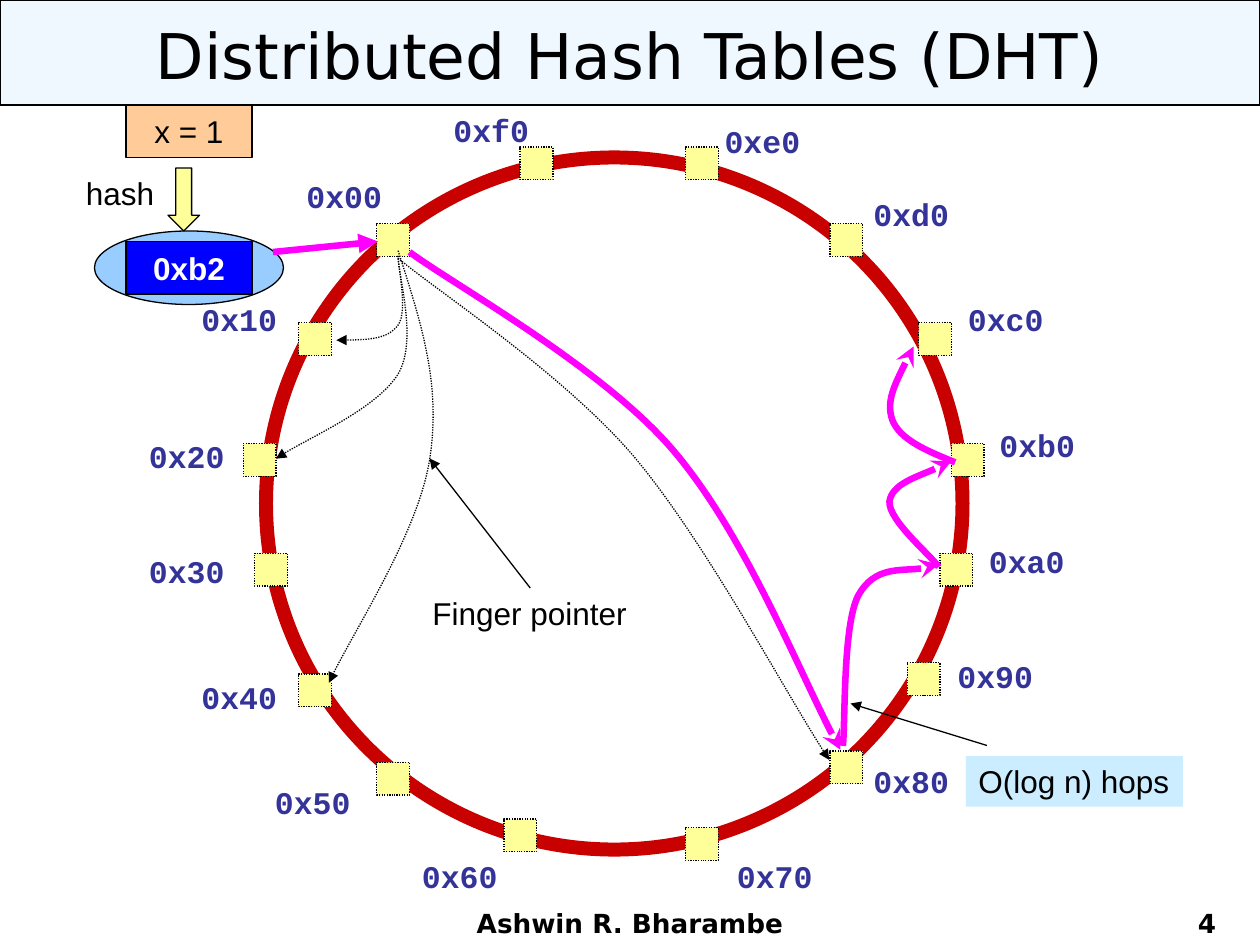
from lxml import etree
from pptx import Presentation
from pptx.dml.color import RGBColor
from pptx.enum.dml import MSO_LINE
from pptx.enum.shapes import MSO_CONNECTOR, MSO_SHAPE
from pptx.enum.text import MSO_ANCHOR, PP_ALIGN
from pptx.oxml.ns import qn
from pptx.util import Pt

RECT, OVAL, DOWN_ARROW = MSO_SHAPE.RECTANGLE, MSO_SHAPE.OVAL, MSO_SHAPE.DOWN_ARROW
STRAIGHT, DOTTED = MSO_CONNECTOR.STRAIGHT, MSO_LINE.ROUND_DOT
LEFT, CENTER, RIGHT = PP_ALIGN.LEFT, PP_ALIGN.CENTER, PP_ALIGN.RIGHT
TOP, MIDDLE, BOTTOM = MSO_ANCHOR.TOP, MSO_ANCHOR.MIDDLE, MSO_ANCHOR.BOTTOM

BLACK, WHITE, MAGENTA, YELLOW, SKY = "000000", "FFFFFF", "FF00FF", "FFFF99", "99CCFF"
NODE_SIZE = 18.75

NODES = [
    (143.3, 67.8), (98.6, 124.3), (67, 193.4), (73.4, 256.1),
    (98.6, 325.2), (143.3, 375.6), (216, 408), (319.7, 413),
    (402.2, 369.1), (446.4, 318.7), (465.1, 256.1), (471.6, 193.4),
    (452.9, 124.3), (402.2, 67.8), (319.7, 24), (225.2, 24),
]
ADDRESSES = [
    (96, 37.5), (36, 108), (6, 186), (6, 252), (36, 324), (78, 384), (162, 426), (342, 426),
    (420, 372), (468, 312), (486, 246), (492, 180), (474, 108), (420, 48), (335, 6), (180, 0),
]
FINGERS = [
    [(155.5, 86.2), (155.5, 92.6), (161.3, 117.8), (155.5, 125.8),
     (149.8, 133.7), (136.1, 134.4), (120.2, 134.4)],
    [(155.5, 86.2), (155.5, 97.7), (167, 134.4), (155.5, 153.8),
     (143.3, 173.3), (100.1, 192), (85.7, 202.1)],
    [(155.5, 83.3), (169.9, 127.9), (180, 161), (173.5, 202.8),
     (167, 243.8), (128.2, 303.6), (115.9, 330.2)],
    [(155.5, 87.6), (177.8, 106.3), (248.4, 152.4), (289.4, 199.9),
     (329.8, 247.4), (378, 338.2), (401.8, 374.2)],
]
HOPS = [
    [(162, 84), (187.2, 102.7), (270.7, 148.8), (311.8, 196.3),
     (352.8, 243.8), (388.1, 332.4), (408.2, 368.4)],
    [(409.7, 366.2), (411.1, 351.8), (409.7, 297.8), (418.3, 280.6),
     (427.7, 263.3), (455, 266.9), (464.4, 262.6)],
    [(464.4, 264), (460.1, 257.5), (435.6, 237.4), (436.3, 226.6),
     (437.8, 216.5), (464.4, 207.8), (471.6, 203.5)],
    [(473.8, 204.2), (457.9, 197.8), (442.1, 191.3), (437.8, 179.8),
     (434.2, 169), (442.1, 153.8), (450, 138)],
]


def color(value):
    return RGBColor.from_string(value)


def write(shape, text, size=18, font="Arial", ink=BLACK, bold=False,
          align=LEFT, anchor=TOP, wrap=False):
    frame = shape.text_frame
    frame.word_wrap = wrap
    frame.vertical_anchor = anchor
    paragraph = frame.paragraphs[0]
    paragraph.alignment = align
    run = paragraph.add_run()
    run.text = text
    run.font.size = Pt(size)
    run.font.name = font
    run.font.bold = bold
    run.font.color.rgb = color(ink)


def add_text(slide, left, top, width, height, text, **style):
    label = slide.shapes.add_textbox(Pt(left), Pt(top), Pt(width), Pt(height))
    write(label, text, **style)


def set_line(shape, ink, width, dash=None):
    shape.line.color.rgb = color(ink)
    shape.line.width = Pt(width)
    if dash:
        shape.line.dash_style = dash


def add_box(slide, kind, left, top, width, height, fill=None, ink=BLACK, line=0.75, dash=None):
    box = slide.shapes.add_shape(kind, Pt(left), Pt(top), Pt(width), Pt(height))
    box.shadow.inherit = False
    if fill:
        box.fill.solid()
        box.fill.fore_color.rgb = color(fill)
    else:
        box.fill.background()
    if ink:
        set_line(box, ink, line, dash)
    else:
        box.line.fill.background()
    return box


def add_head(shape, head):
    etree.SubElement(shape.line._get_or_add_ln(), qn("a:tailEnd"), type=head)


def add_arrow(slide, x1, y1, x2, y2, ink=BLACK, width=0.75):
    arrow = slide.shapes.add_connector(STRAIGHT, Pt(x1), Pt(y1), Pt(x2), Pt(y2))
    set_line(arrow, ink, width)
    add_head(arrow, "triangle")
    etree.SubElement(arrow._element.spPr, qn("a:effectLst"))


def add_curve(slide, left, top, points, head, ink, width, dash=None):
    start, *rest = [(Pt(left + x), Pt(top + y)) for x, y in points]
    builder = slide.shapes.build_freeform(*start)
    builder.add_line_segments(rest, close=False)
    curve = builder.convert_to_shape()
    curve.shadow.inherit = False
    curve.fill.background()
    set_line(curve, ink, width, dash)
    add_head(curve, head)
    steps = list(curve._element.iter(qn("a:lnTo")))
    outline = steps[0].getparent()
    for first in range(0, len(steps), 3):
        bezier = etree.SubElement(outline, qn("a:cubicBezTo"))
        for step in steps[first:first + 3]:
            bezier.append(step[0])
            outline.remove(step)


def add_title(slide, left, top, width, height):
    band = add_box(slide, RECT, left, top, width, height, SKY)
    tint = band._element.spPr.find(qn("a:solidFill"))[0]
    etree.SubElement(tint, qn("a:alpha"), val="15000")
    add_text(slide, left + 36, top + 4, width - 72, height - 6, "Distributed Hash Tables (DHT)",
             size=36, font="DejaVu Sans", align=CENTER, anchor=MIDDLE, wrap=True)


def add_hash(slide, left, top):
    add_box(slide, OVAL, left + 12, top + 72, 108, 42, SKY)
    key = add_box(slide, RECT, left + 30, top, 72, 30, "FFCC99")
    write(key, "x = 1", align=CENTER, anchor=MIDDLE)
    digest = add_box(slide, RECT, left + 30, top + 78, 72, 30, "0000FF")
    write(digest, "0xb2", ink=WHITE, bold=True, align=CENTER, anchor=MIDDLE)
    add_box(slide, DOWN_ARROW, left + 54, top + 36, 18, 36, YELLOW)
    add_text(slide, left, top + 36, 54, 29, "hash")


def add_ring(slide, left, top):
    add_box(slide, OVAL, left + 80, top + 30, 398, 395.5, ink="C80000", line=8)
    for x, y in NODES:
        add_box(slide, RECT, left + x, top + y, NODE_SIZE, NODE_SIZE, YELLOW, dash=DOTTED)
    for index, (x, y) in enumerate(ADDRESSES):
        add_text(slide, left + x, top + y, 57.6, 29, f"0x{index:x}0",
                 font="Courier New", ink="333399", bold=True)


def add_fingers(slide, left, top):
    for finger in FINGERS:
        add_curve(slide, left, top, finger, "triangle", BLACK, 0.75, DOTTED)
    add_text(slide, left + 168, top + 276, 127, 29, "Finger pointer")
    add_arrow(slide, left + 231, top + 276, left + 173.5, top + 202)


def add_hops(slide, left, top):
    add_arrow(slide, left + 84, top + 84, left + 144, top + 78, MAGENTA, 3.75)
    for hop in HOPS:
        add_curve(slide, left, top, hop, "stealth", MAGENTA, 3.75)
    cost = add_box(slide, RECT, left + 480, top + 372, 124, 29, "CCECFF", ink=None)
    write(cost, "O(log n) hops")
    add_arrow(slide, left + 492, top + 366, left + 414, top + 342)


def add_footer(slide, left, bottom):
    style = dict(size=15, font="DejaVu Sans", bold=True, anchor=BOTTOM, wrap=True)
    add_text(slide, left + 246, bottom - 12, 228, 12, "Ashwin R. Bharambe", align=CENTER, **style)
    add_text(slide, left + 534, bottom - 18, 168, 18, "4", align=RIGHT, **style)


def main():
    deck = Presentation()
    deck.slide_width, deck.slide_height = Pt(720), Pt(540)
    slide = deck.slides.add_slide(deck.slide_layouts[6])
    add_title(slide, 0, 0, 720, 60)
    add_hash(slide, 42, 60)
    add_ring(slide, 72, 60)
    add_fingers(slide, 72, 60)
    add_hops(slide, 72, 60)
    add_footer(slide, 0, 540)
    deck.save("out.pptx")


if __name__ == "__main__":
    main()
